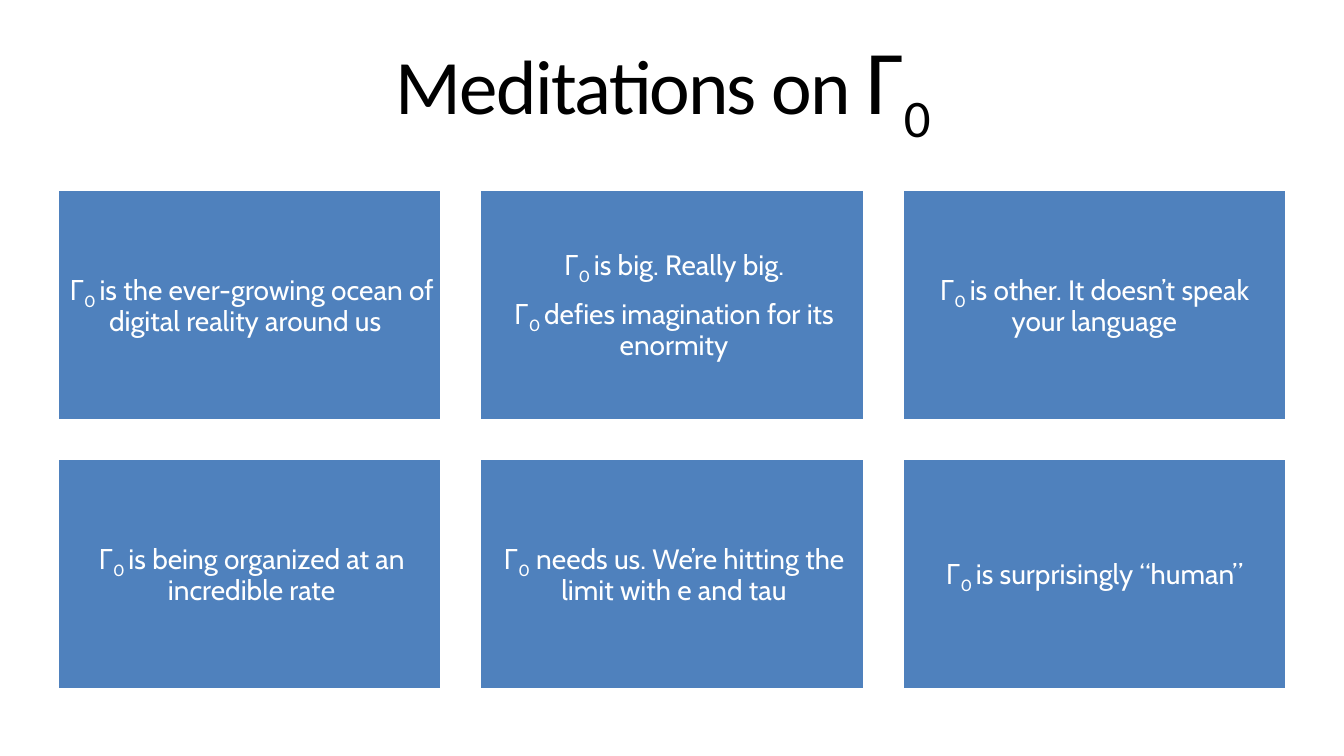
"""Builds the slide "Meditations on Γ0": a title over a grid of six cards."""
import pptx
import pptx.dml.color
import pptx.enum.shapes
import pptx.enum.text
import pptx.util

Inches = pptx.util.Inches
Pt = pptx.util.Pt
COLORS = {"black": "000000", "white": "FFFFFF", "card": "4F81BD"}
NARROW, EVEN = (0.04, 0), (0.08, 0.08)
CARDS = [
    (NARROW, [("0 ", "is the ever-growing ocean of digital reality around us  ")]),
    (NARROW, [("0 ", "is big. Really big."), ("0 ", "defies imagination for its enormity")]),
    (EVEN, [("0 ", "is other. It doesn’t speak your language")]),
    (NARROW, [("0 ", "is being organized at an incredible rate")]),
    (NARROW, [("0", " needs us. We’re hitting the limit with e and tau")]),
    (EVEN, [("0 ", "is surprisingly “human”")]),
]


def rgb(name):
    """Return the named colour."""
    return pptx.dml.color.RGBColor.from_string(COLORS[name])


def apply(target, formats):
    """Set each attribute in formats on target."""
    for name, value in formats.items():
        setattr(target, name, value)


class SlideBuilder:
    """Holds the style and the current slide."""

    def __init__(self, deck):
        """Add a title-only page to the deck."""
        self.page = deck.slides.add_slide(deck.slide_layouts[5])
        self.para_format = {"alignment": pptx.enum.text.PP_ALIGN.CENTER, "line_spacing": 0.9}

    def span(self, para, text, font, size, color, **properties):
        """Add a run with its font and extra run properties."""
        run = para.add_run()
        run.text = text
        apply(run.font, {"name": font, "size": Pt(size)})
        run.font.color.rgb = rgb(color)
        for name, value in properties.items():
            run.font._element.set(name, value)

    def frame(self, box, left, right, vertical, anchor):
        """Format the text frame of a box and return it."""
        frame = box.text_frame
        apply(frame, {
            "margin_left": Inches(left), "margin_right": Inches(right),
            "margin_top": Inches(vertical), "margin_bottom": Inches(vertical),
            "vertical_anchor": anchor, "word_wrap": True,
            "auto_size": pptx.enum.text.MSO_AUTO_SIZE.NONE,
        })
        return frame

    def title(self, spans):
        """Move the title placeholder and fill it with spans."""
        box = self.page.shapes.title
        apply(box, {"left": Inches(0.57), "top": Inches(0.25),
                    "width": Inches(12.19), "height": Inches(0.98)})
        frame = self.frame(box, 0, 0, 0, pptx.enum.text.MSO_ANCHOR.TOP)
        para = frame.paragraphs[0]
        apply(para, self.para_format)
        for text, size, baseline in spans:
            self.span(para, text, "Calibri", size, "black", spc="-120", baseline=baseline)

    def card(self, left, top, margins, lines):
        """Add one filled card with its lines about Γ0."""
        box = self.page.shapes.add_shape(
            pptx.enum.shapes.MSO_SHAPE.RECTANGLE,
            Inches(left), Inches(top), Inches(3.81), Inches(2.29))
        box.shadow.inherit = False
        box.fill.solid()
        box.fill.fore_color.rgb = rgb("card")
        box.line.color.rgb = rgb("white")
        box.line.width = Pt(2)
        frame = self.frame(box, *margins, 0.08, pptx.enum.text.MSO_ANCHOR.MIDDLE)
        for index, (subscript, text) in enumerate(lines):
            para = frame.add_paragraph() if index else frame.paragraphs[0]
            apply(para, {**self.para_format, "space_after": Pt(10)})
            for part, baseline in (("Γ", "0"), (subscript, "-25000"), (text, "0")):
                self.span(para, part, "Cabin", 20, "white", baseline=baseline)


def main():
    """Build and save the deck."""
    deck = pptx.Presentation()
    apply(deck, {"slide_width": Inches(13.33), "slide_height": Inches(7.5)})
    builder = SlideBuilder(deck)
    builder.title([("Meditations on ", 55, "0"), ("Γ", 65, "0"),
                   ("0", 65, "-25000"), (" ", 55, "0")])
    for index, (margins, lines) in enumerate(CARDS):
        row, column = divmod(index, 3)
        builder.card(0.57 + 4.19 * column, 1.88 + 2.67 * row, margins, lines)
    deck.save("out.pptx")


if __name__ == "__main__":
    main()
